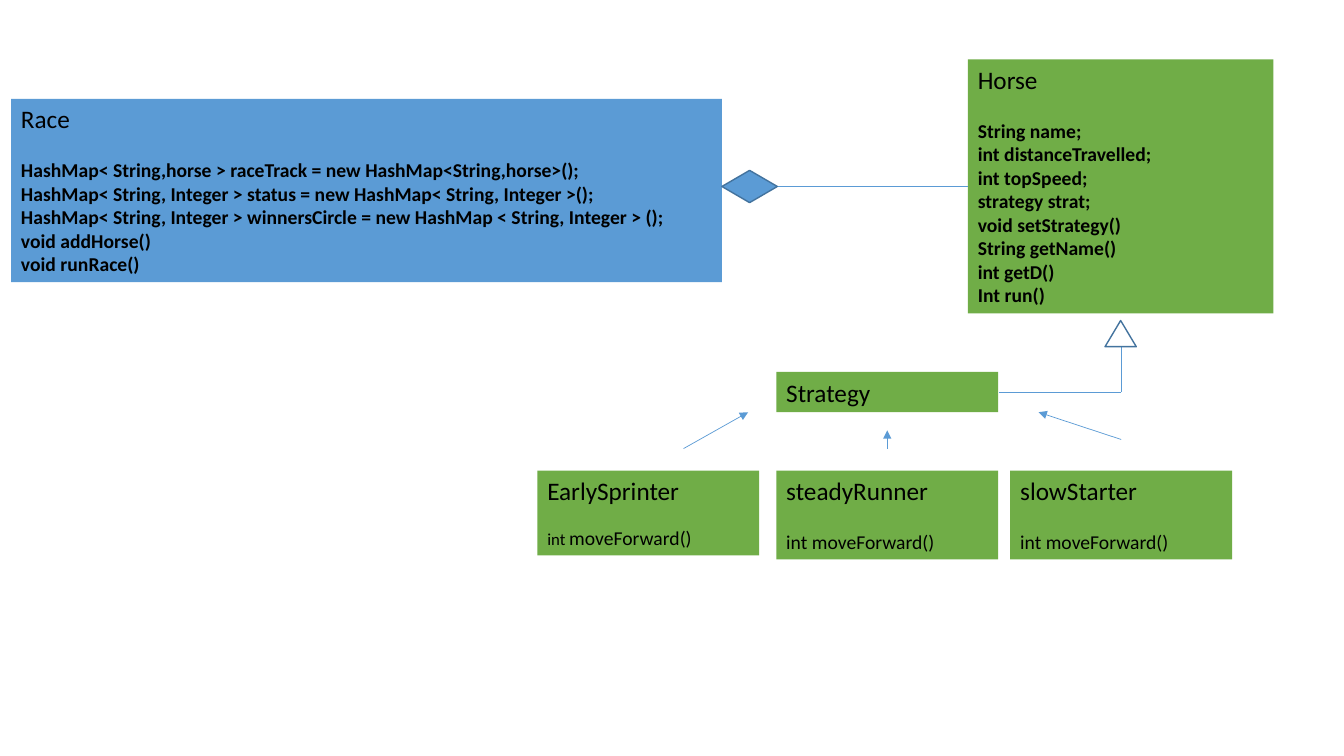
"""Build a class diagram slide of a horse race with strategies."""
from lxml import etree
from pptx import Presentation
from pptx.dml.color import RGBColor
from pptx.enum import shapes, text
from pptx.oxml.ns import qn
from pptx.util import Inches, Pt

GREEN, BLUE, OUTLINE, BLACK = "70AD47", "5B9BD5", "43739E", "000000"
STRATEGY_WIDTH, STRATEGY_TOP = 2.2, 4.67
MOVE = [("int moveForward()", 14)]

HORSE = ["String name;", "int distanceTravelled;", "int topSpeed;", "strategy strat;",
         "void setStrategy()", "String getName()", "int getD()", "Int run()"]
RACE = ["HashMap< String,horse > raceTrack = new HashMap<String,horse>();",
        "HashMap< String, Integer > status = new HashMap< String, Integer >();",
        "HashMap< String, Integer > winnersCircle = new HashMap < String, Integer > ();",
        "void addHorse()", "void runRace()"]

CLASSES = [
    ("Horse", (9.6, 0.59, 3.03, 2.52), GREEN, [[(member, 14)] for member in HORSE], True, 17.1),
    ("Strategy", (7.7, 3.69, STRATEGY_WIDTH, 0.4), GREEN, [], False, 0),
    ("EarlySprinter", (5.33, STRATEGY_TOP, STRATEGY_WIDTH, 0.84), GREEN,
     [[("int ", 12), ("moveForward()", 14)]], False, 14.6),
    ("steadyRunner", (7.7, STRATEGY_TOP, STRATEGY_WIDTH, 0.88), GREEN, [MOVE], False, 17.1),
    ("slowStarter", (10.02, STRATEGY_TOP, STRATEGY_WIDTH, 0.88), GREEN, [MOVE], False, 17.1),
    ("Race", (0.11, 0.98, 7.05, 1.82), BLUE, [[(member, 14)] for member in RACE], True, 17.1),
]
IMPLEMENTS = [((6.78, 4.45), (7.42, 4.09)), ((8.8, 4.45), (8.8, 4.27)),
              ((11.12, 4.36), (10.3, 4.09))]
ASSOCIATIONS = [((9.91, 3.89), (11.12, 3.89)), ((11.12, 3.89), (11.12, 3.44)),
                ((9.6, 1.85), (7.7, 1.85))]
MARKERS = [(shapes.MSO_SHAPE.ISOSCELES_TRIANGLE, (10.96, 3.18, 0.31, 0.26), None),
           (shapes.MSO_SHAPE.DIAMOND, (7.16, 1.69, 0.55, 0.32), BLUE)]


def color(value):
    """Return a colour from a hex string."""
    return RGBColor.from_string(value)


def paint(part, fill):
    """Fill a shape, or leave it hollow."""
    if fill:
        part.fill.solid()
        part.fill.fore_color.rgb = color(fill)
    else:
        part.fill.background()


def write(paragraph, runs, bold):
    """Add sized runs to a paragraph."""
    for words, size in runs:
        run = paragraph.add_run()
        run.text = words
        for key, value in {"name": "Calibri", "size": Pt(size), "bold": bold}.items():
            setattr(run.font, key, value)
        run.font.color.rgb = color(BLACK)


def add_class(slide, name, place, fill, members, bold, gap):
    """Draw a class box with its name and members."""
    box = slide.shapes.add_textbox(*map(Inches, place))
    paint(box, fill)
    frame = box.text_frame
    for key, value in {"word_wrap": True, "vertical_anchor": text.MSO_ANCHOR.TOP,
                       "auto_size": text.MSO_AUTO_SIZE.SHAPE_TO_FIT_TEXT}.items():
        setattr(frame, key, value)
    write(frame.paragraphs[0], [(name, 18)], False)
    for index, runs in enumerate(members):
        paragraph = frame.add_paragraph()
        paragraph.space_before = Pt(0 if index else gap)
        write(paragraph, runs, bold)


def add_link(slide, start, end, arrow):
    """Draw a thin line, with an arrowhead at its end if asked."""
    link = slide.shapes.add_connector(shapes.MSO_CONNECTOR.STRAIGHT, *map(Inches, start + end))
    link.line.color.rgb = color(BLUE)
    link.line.width = Pt(0.5)
    if arrow:
        etree.SubElement(link.line._get_or_add_ln(), qn("a:tailEnd"), type="triangle")
    etree.SubElement(link._element.spPr, qn("a:effectLst"))


def add_marker(slide, preset, place, fill):
    """Draw an outlined relation marker."""
    marker = slide.shapes.add_shape(preset, *map(Inches, place))
    marker.shadow.inherit = False
    paint(marker, fill)
    marker.line.color.rgb = color(OUTLINE)
    marker.line.width = Pt(1)


deck = Presentation()
deck.slide_width, deck.slide_height = Inches(13.33), Inches(7.5)
diagram = deck.slides.add_slide(deck.slide_layouts[6])
for entry in CLASSES:
    add_class(diagram, *entry)
for links, arrow in ((IMPLEMENTS, True), (ASSOCIATIONS, False)):
    for start, end in links:
        add_link(diagram, start, end, arrow)
for marker in MARKERS:
    add_marker(diagram, *marker)
deck.save("out.pptx")
